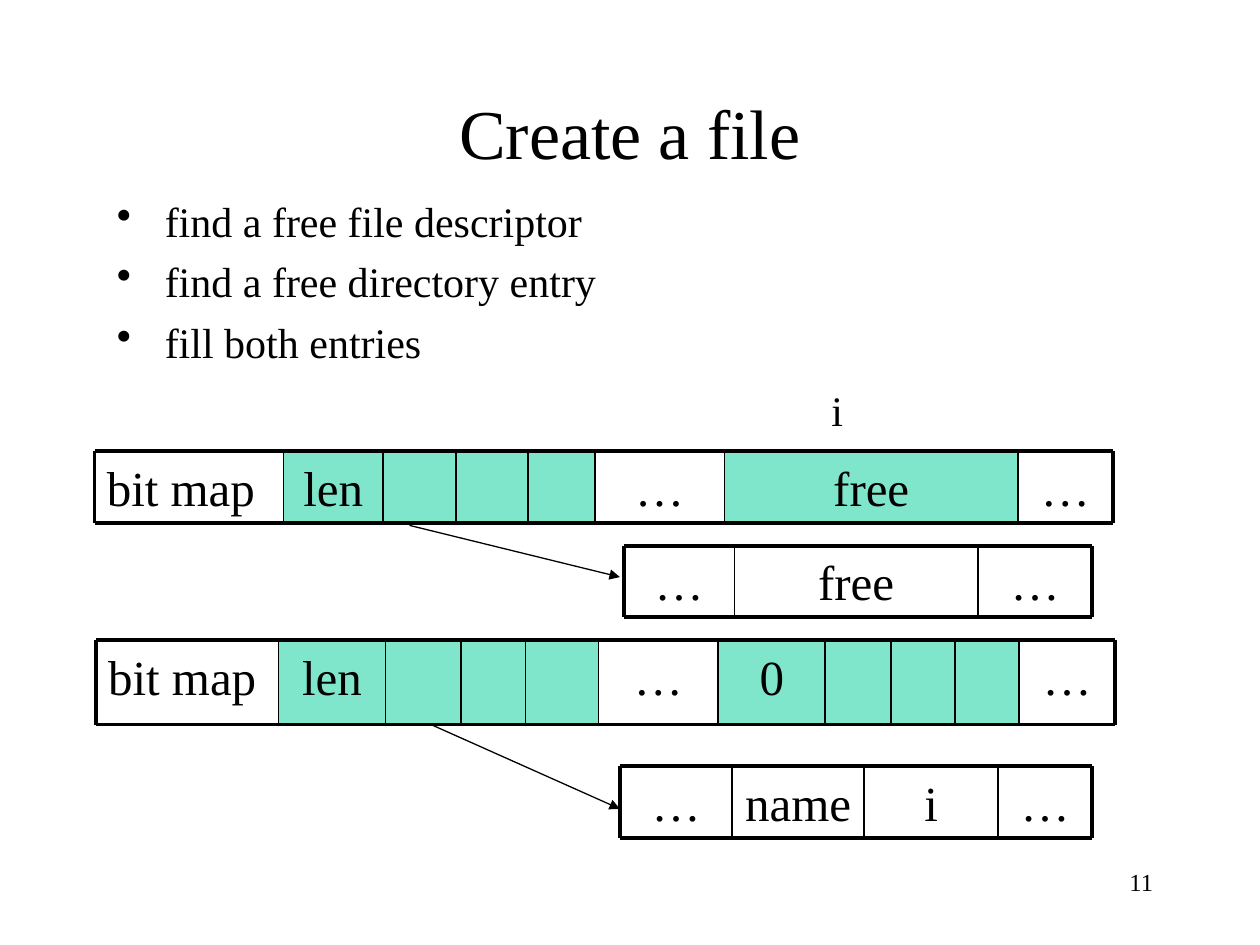
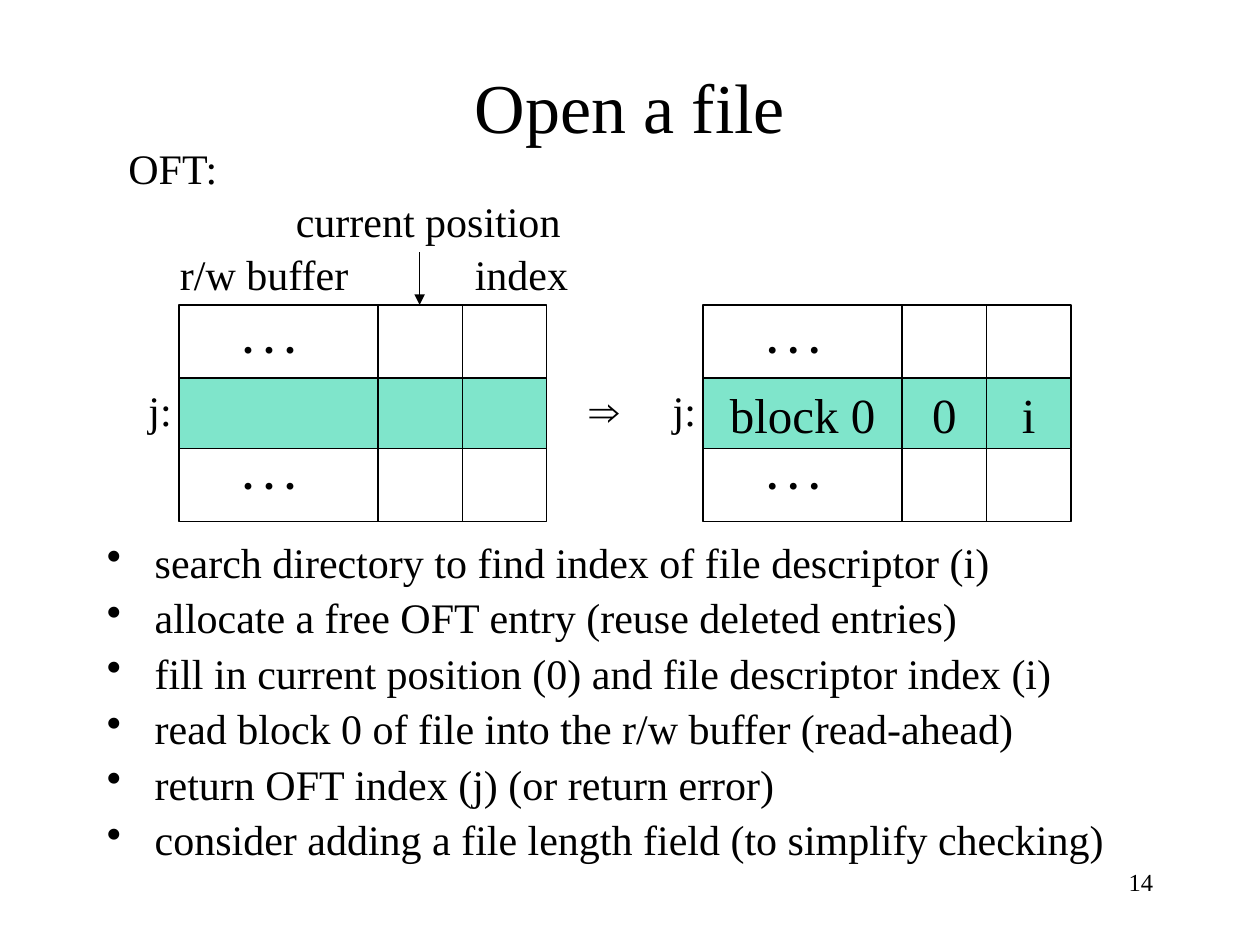
"""Build two lecture slides on creating and opening a file."""
import dataclasses
import itertools

import pptx
import pptx.dml.color
import pptx.enum.shapes
import pptx.enum.text
import pptx.oxml.ns
import pptx.util
from lxml import etree

Inches = pptx.util.Inches
Pt = pptx.util.Pt
RGB = pptx.dml.color.RGBColor
ALIGN = pptx.enum.text.PP_ALIGN
ANCHOR = pptx.enum.text.MSO_ANCHOR
qn = pptx.oxml.ns.qn


@dataclasses.dataclass(frozen=True)
class Theme:
    font: str = "Times New Roman"
    ink: RGB = RGB(0x00, 0x00, 0x00)
    accent: RGB = RGB(0x00, 0xCC, 0x99)
    accent_alpha: int = 50000
    title: int = 40
    cell: int = 28
    body: int = 24
    footer: int = 14
    thick: float = 2.25
    divider: float = 1
    thin: float = 0.75
    bullet_gap: float = 5.8
    bullet_indent: float = 0.38


class Deck:
    def __init__(self, theme):
        self.theme = theme
        self.prs = pptx.Presentation()
        self.prs.slide_width = Inches(10)
        self.prs.slide_height = Inches(7.5)
        self.s = None

    def slide(self, title, title_height, number):
        self.s = self.prs.slides.add_slide(self.prs.slide_layouts[6])
        self.text(str(number), 7.17, 6.83, 2.08, 0.5, size=self.theme.footer, align=ALIGN.RIGHT)
        self.text(title, 0.75, 0.42, 8.5, title_height, size=self.theme.title,
                  align=ALIGN.CENTER, anchor=ANCHOR.MIDDLE)

    def set_text(self, sp, text, size, align=ALIGN.LEFT, anchor=ANCHOR.TOP, bold=False, wrap=True):
        tf = sp.text_frame
        tf.word_wrap = wrap
        tf.vertical_anchor = anchor
        tf.text = text
        for p in tf.paragraphs:
            p.alignment = align
            for r in p.runs:
                r.font.name = self.theme.font
                r.font.size = Pt(size)
                r.font.bold = bold
                r.font.color.rgb = self.theme.ink

    def text(self, text, x, y, w, h, size=None, **style):
        sp = self.s.shapes.add_textbox(Inches(x), Inches(y), Inches(w), Inches(h))
        self.set_text(sp, text, size or self.theme.body, **style)
        return sp

    def bullets(self, items, x, y, w, h, line_spacing=1.0):
        sp = self.text("\n".join(items), x, y, w, h)
        for i, p in enumerate(sp.text_frame.paragraphs):
            p.line_spacing = line_spacing
            p.space_before = Pt(self.theme.bullet_gap if i else 0)
            pPr = p._p.get_or_add_pPr()
            indent = Inches(self.theme.bullet_indent)
            pPr.set("marL", str(indent))
            pPr.set("indent", str(-indent))
            etree.SubElement(pPr, qn("a:buChar")).set("char", "•")

    def box(self, x, y, w, h, text="", filled=True, outlined=True):
        sp = self.s.shapes.add_shape(pptx.enum.shapes.MSO_SHAPE.RECTANGLE,
                                     Inches(x), Inches(y), Inches(w), Inches(h))
        sp.shadow.inherit = False
        if filled:
            sp.fill.solid()
            sp.fill.fore_color.rgb = self.theme.accent
            color = sp._element.spPr.find(qn("a:solidFill"))[0]
            etree.SubElement(color, qn("a:alpha")).set("val", str(self.theme.accent_alpha))
        else:
            sp.fill.background()
        if outlined:
            sp.line.color.rgb = self.theme.ink
            sp.line.width = Pt(self.theme.thin)
        else:
            sp.line.fill.background()
        if text:
            self.set_text(sp, text, self.theme.cell, align=ALIGN.CENTER)

    def line(self, x1, y1, x2, y2, width=None, arrow=False):
        cxn = self.s.shapes.add_connector(pptx.enum.shapes.MSO_CONNECTOR.STRAIGHT,
                                          Inches(x1), Inches(y1), Inches(x2), Inches(y2))
        cxn.line.color.rgb = self.theme.ink
        cxn.line.width = Pt(width or self.theme.thin)
        spPr = cxn._element.spPr
        if arrow:
            etree.SubElement(spPr.find(qn("a:ln")), qn("a:tailEnd")).set("type", "triangle")
        etree.SubElement(spPr, qn("a:effectLst"))

    def strip(self, edges, y, h, texts, filled=()):
        for i, ((x1, x2), text) in enumerate(zip(itertools.pairwise(edges), texts)):
            if i in filled:
                self.box(x1, y, x2 - x1, h, text, outlined=False)
            else:
                align = ALIGN.LEFT if text == "bit map" else ALIGN.CENTER
                self.text(text, x1, y, x2 - x1, h, size=self.theme.cell, align=align)
        for edge_y in (y, y + h):
            self.line(edges[0], edge_y, edges[-1], edge_y, self.theme.thick)
        for x in edges:
            outer = x in (edges[0], edges[-1])
            self.line(x, y, x, y + h, self.theme.thick if outer else self.theme.divider)

    def open_file_table(self, x, entry):
        top, middle, bottom, end = 2.42, 3, 3.56, 4.14
        columns = (x, x + 1.58, x + 2.25, x + 2.92)
        for (x1, x2), text in zip(itertools.pairwise(columns), entry):
            self.box(x1, middle, x2 - x1, bottom - middle, text)
        for y1, y2 in ((top, middle), (bottom, end)):
            self.box(x, y1, columns[-1] - x, y2 - y1, filled=False)
            for divider in columns[1:-1]:
                self.line(divider, y1, divider, y2)
        for y in (top, 3.5):
            self.text(". . .", x + 0.41, y, 0.75, 0.5, bold=True)
        self.text("j:", x - 0.34, middle, 0.5, 0.5)


def create_file(deck):
    deck.slide("Create a file", 1.25, 11)
    deck.bullets(["find a free file descriptor", "find a free directory entry", "fill both entries"],
                 0.83, 1.5, 8.5, 2)
    deck.strip((0.75, 2.25, 3.04, 3.62, 4.19, 4.72, 5.75, 8.08, 8.83), 3.58, 0.57,
               ("bit map", "len", "", "", "", "…", "free", "…"), filled=(1, 2, 3, 4, 6))
    deck.strip((0.76, 2.21, 3.06, 3.66, 4.17, 4.75, 5.7, 6.55, 7.07, 7.58, 8.09, 8.85), 5.08, 0.67,
               ("bit map", "len", "", "", "", "…", "0", "", "", "", "…"),
               filled=(1, 2, 3, 4, 6, 7, 8, 9))
    deck.strip((4.95, 5.83, 7.76, 8.67), 4.33, 0.57, ("…", "free", "…"))
    deck.strip((4.92, 5.81, 6.86, 7.92, 8.67), 6.08, 0.57, ("…", "name", "i", "…"))
    deck.line(3.25, 4.17, 4.92, 4.58, arrow=True)
    deck.line(3.42, 5.75, 4.92, 6.42, arrow=True)
    deck.text("i", 6.5, 3, 0.29, 0.5, wrap=False)


def open_file(deck):
    deck.slide("Open a file", 0.83, 14)
    deck.bullets(["search directory to find index of file descriptor (i)",
                  "allocate a free OFT entry (reuse deleted entries)",
                  "fill in current position (0) and file descriptor index (i)",
                  "read block 0 of file into the r/w buffer (read-ahead)",
                  "return OFT index (j) (or return error)",
                  "consider adding a file length field (to simplify checking)"],
                 0.75, 4.25, 8.67, 2.72, line_spacing=0.9)
    deck.text("OFT:", 0.92, 1.08, 0.92, 0.5, wrap=False)
    deck.text("current position", 2.25, 1.5, 2.3, 0.5)
    deck.text("r/w buffer", 1.33, 1.92, 1.58, 0.5)
    deck.text("index", 3.67, 1.92, 0.94, 0.5, wrap=False)
    deck.line(3.33, 2, 3.33, 2.42, arrow=True)
    deck.open_file_table(1.42, ("", "", ""))
    deck.text("⇒", 4.58, 3, 0.58, 0.5, bold=True)
    deck.open_file_table(5.58, ("block 0", "0", "i"))


def main():
    deck = Deck(Theme())
    create_file(deck)
    open_file(deck)
    deck.prs.save("out.pptx")


if __name__ == "__main__":
    main()
